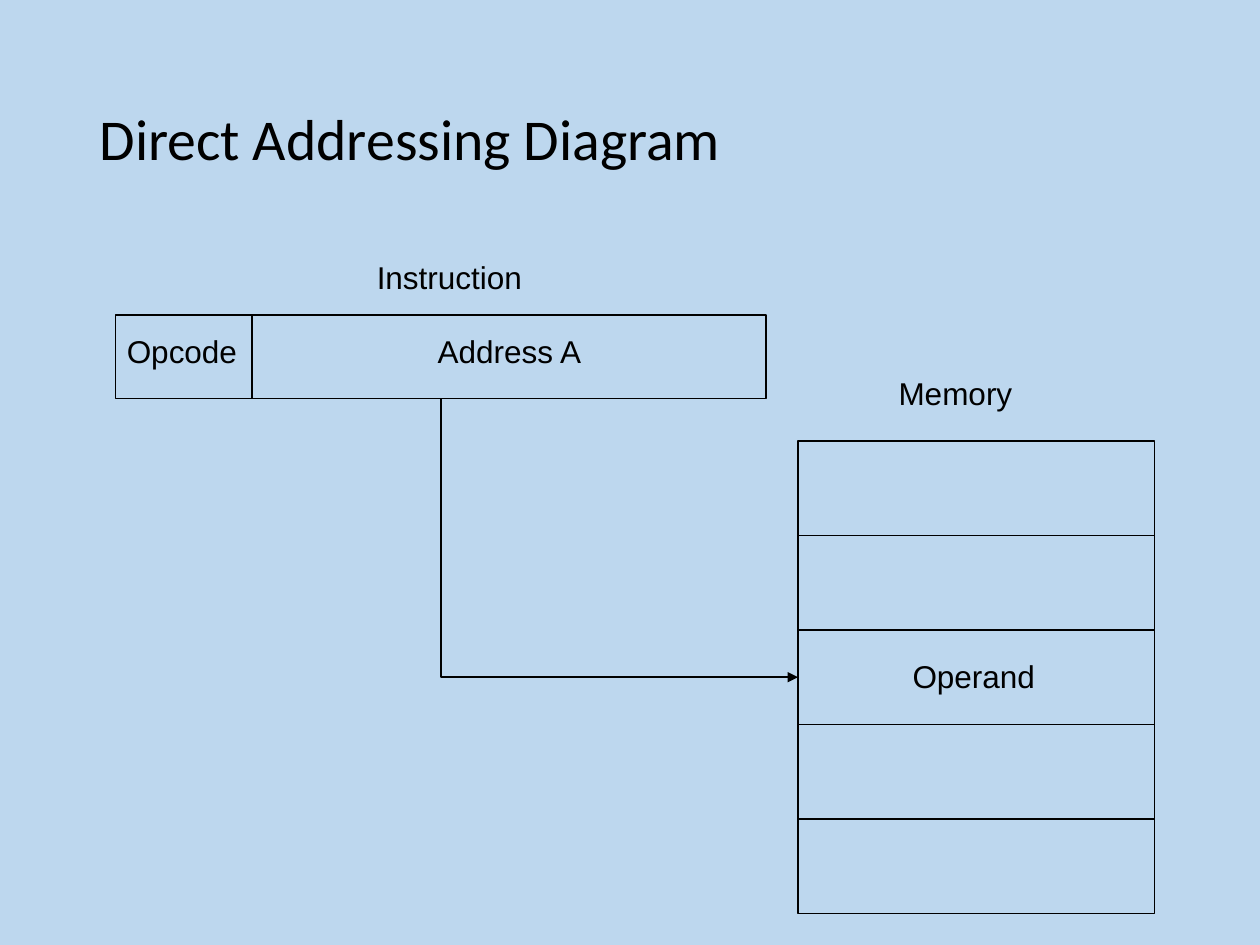
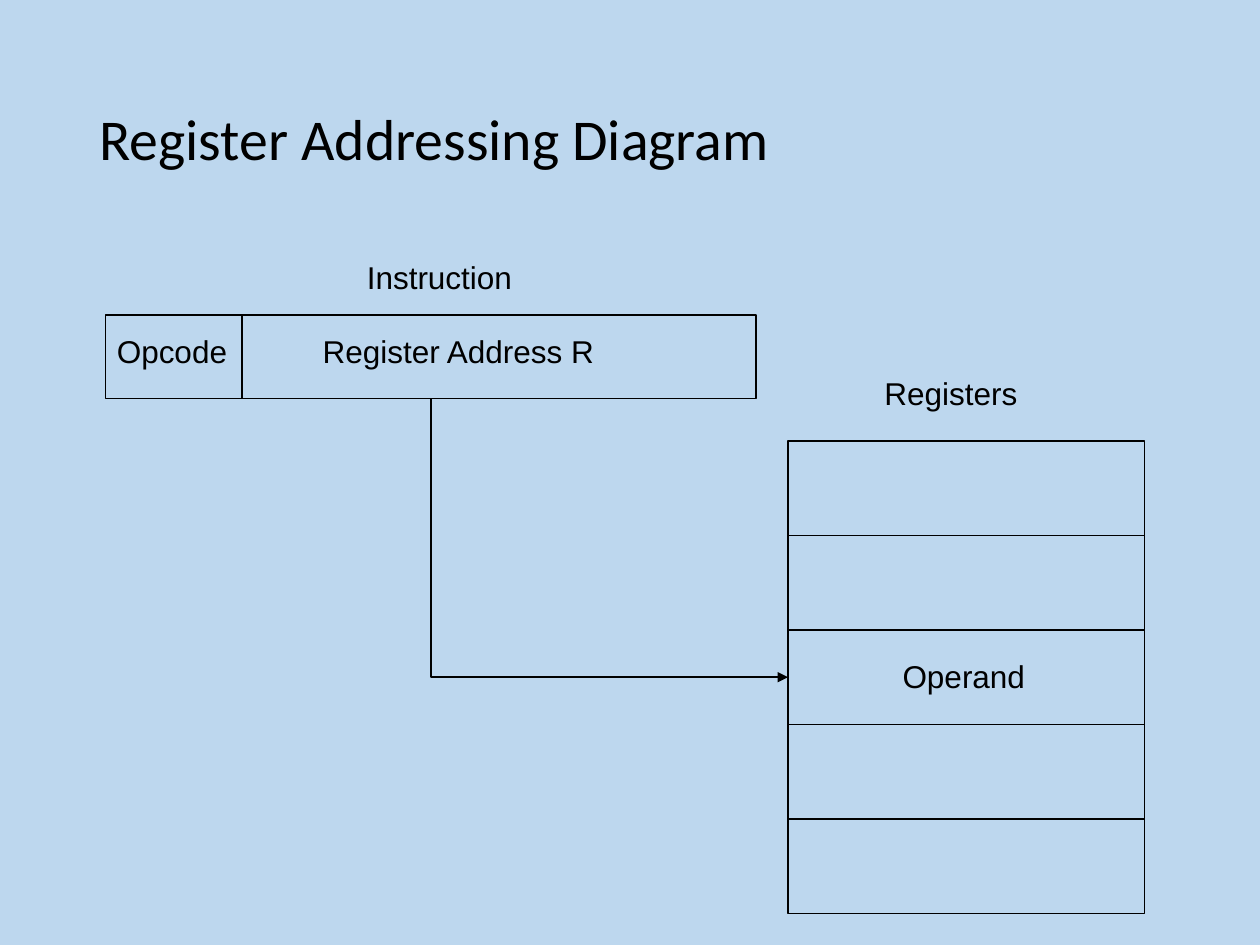
from collections import namedtuple

from lxml import etree
from pptx import Presentation, util as u
from pptx.dml import color
from pptx.enum import shapes, text
from pptx.oxml import ns

COLOURS = {"background": "BDD7EE", "ink": "000000"}
FORMATS = {
    "title": {"name": "Calibri", "size": u.Pt(33)},
    "label": {"name": "Arial", "size": u.Pt(18)},
}
FRAMES = {
    "title": {"word_wrap": True, "vertical_anchor": text.MSO_ANCHOR.MIDDLE},
    "label": {"word_wrap": False, "auto_size": text.MSO_AUTO_SIZE.SHAPE_TO_FIT_TEXT},
}

SLIDE_WIDTH, SLIDE_HEIGHT = u.Inches(10), u.Inches(7.5)
COLUMNS, ROWS = 120, 90
LABEL_ROWS = 4.8
CELL_COUNT, OPERAND_CELL = 5, 2

Box = namedtuple("Box", "left top width height")
Label = namedtuple("Label", "words left width")
Diagram = namedtuple("Diagram", "title left address store")

DIAGRAMS = [
    Diagram("Direct Addressing Diagram", 11,
            Label("Address A", 29.5, 16.5), Label("Memory", 8.4, 13.5)),
    Diagram("Register Addressing Diagram", 10.05,
            Label("Register Address R", 19.5, 28.8), Label("Registers", 8, 15.5)),
]


def x(column):
    return round(SLIDE_WIDTH * column / COLUMNS)


def y(row):
    return round(SLIDE_HEIGHT * row / ROWS)


def emu(box):
    return x(box.left), y(box.top), x(box.width), y(box.height)


def within(box, left, top, width, height):
    """Place a box relative to the corner of another one."""
    return Box(box.left + left, box.top + top, width, height)


def rgb(name):
    return color.RGBColor.from_string(COLOURS[name])


def set_all(target, values):
    for name, value in values.items():
        setattr(target, name, value)


def draw_line(shape):
    shape.line.color.rgb = rgb("ink")
    shape.line.width = u.Pt(1)


def add_text(page, box, words, style):
    frame = page.shapes.add_textbox(*emu(box)).text_frame
    set_all(frame, FRAMES[style])
    para = frame.paragraphs[0]
    span = para.add_run()
    span.text = words
    set_all(span.font, FORMATS[style])
    span.font.color.rgb = rgb("ink")
    return para


def add_label(page, box, label, top):
    add_text(page, within(box, label.left, top, label.width, LABEL_ROWS),
             label.words, "label")


def add_rectangle(parent, box):
    shape = parent.shapes.add_shape(shapes.MSO_SHAPE.RECTANGLE, *emu(box))
    shape.shadow.inherit = False
    shape.fill.background()
    draw_line(shape)


def add_title(page, words):
    para = add_text(page, Box(8.3, 4.8, 103.5, 17.4), words, "title")
    para.line_spacing = 0.9


def add_instruction(page, box, address):
    """Draw the instruction word, split into opcode and address fields."""
    group = page.shapes.add_group_shape()
    add_rectangle(group, box)
    divider = x(box.left + 13)
    line = group.shapes.add_connector(
        shapes.MSO_CONNECTOR.STRAIGHT,
        divider, y(box.top), divider, y(box.top + box.height))
    draw_line(line)
    etree.SubElement(line._element.spPr, ns.qn("a:effectLst"))
    add_label(page, box, address, 1)
    add_label(page, box, Label("Opcode", -0.1, 13.2), 1)
    add_label(page, box, Label("Instruction", 23.7, 16.5), -6)


def add_store(page, box, heading):
    """Draw the stack of storage cells and return the box of the operand's cell."""
    height = box.height / CELL_COUNT
    cells = [within(box, 0, index * height, box.width, height)
             for index in range(CELL_COUNT)]
    for cell in cells:
        add_rectangle(page, cell)
    add_label(page, box, heading, -7)
    operand = cells[OPERAND_CELL]
    label_width = 14.5
    add_label(page, operand,
              Label("Operand", (box.width - label_width) / 2, label_width), 2)
    return operand


def add_pointer(page, instruction, cell):
    """Draw the bent arrow from the instruction's middle to the cell's left side."""
    start_x = x(instruction.left + instruction.width / 2)
    end_y = y(cell.top + cell.height / 2)
    builder = page.shapes.build_freeform(
        start_x, y(instruction.top + instruction.height))
    builder.add_line_segments([(start_x, end_y), (x(cell.left), end_y)], close=False)
    arrow = builder.convert_to_shape()
    arrow.shadow.inherit = False
    arrow.fill.background()
    draw_line(arrow)
    etree.SubElement(arrow.line._get_or_add_ln(), ns.qn("a:tailEnd"), type="triangle")


def add_diagram_slide(deck, diagram):
    page = deck.slides.add_slide(deck.slide_layouts[6])
    page.background.fill.solid()
    page.background.fill.fore_color.rgb = rgb("background")
    add_title(page, diagram.title)
    instruction = Box(diagram.left, 30, 61.95, 7.95)
    add_instruction(page, instruction, diagram.address)
    operand = add_store(page, within(instruction, 65, 12, 33.95, 45), diagram.store)
    add_pointer(page, instruction, operand)


def main():
    deck = Presentation()
    set_all(deck, {"slide_width": SLIDE_WIDTH, "slide_height": SLIDE_HEIGHT})
    for diagram in DIAGRAMS:
        add_diagram_slide(deck, diagram)
    deck.save("out.pptx")


if __name__ == "__main__":
    main()
